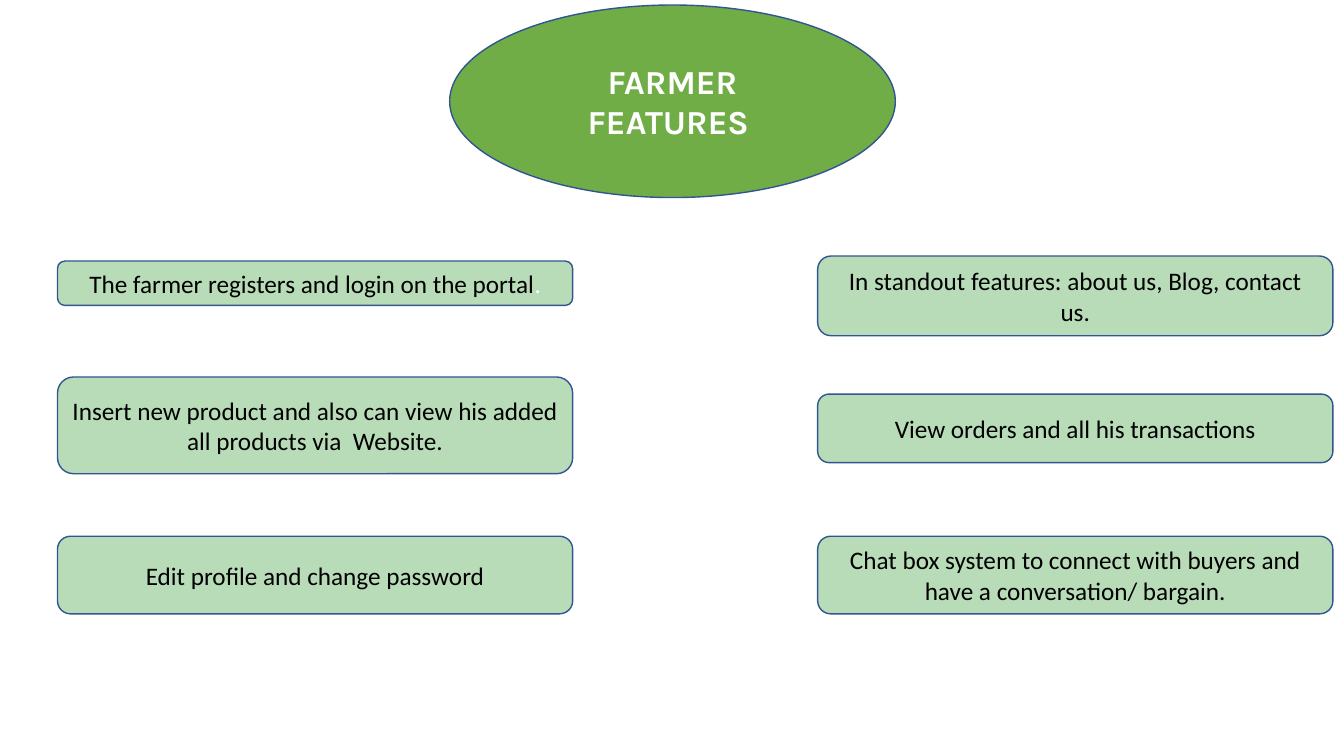
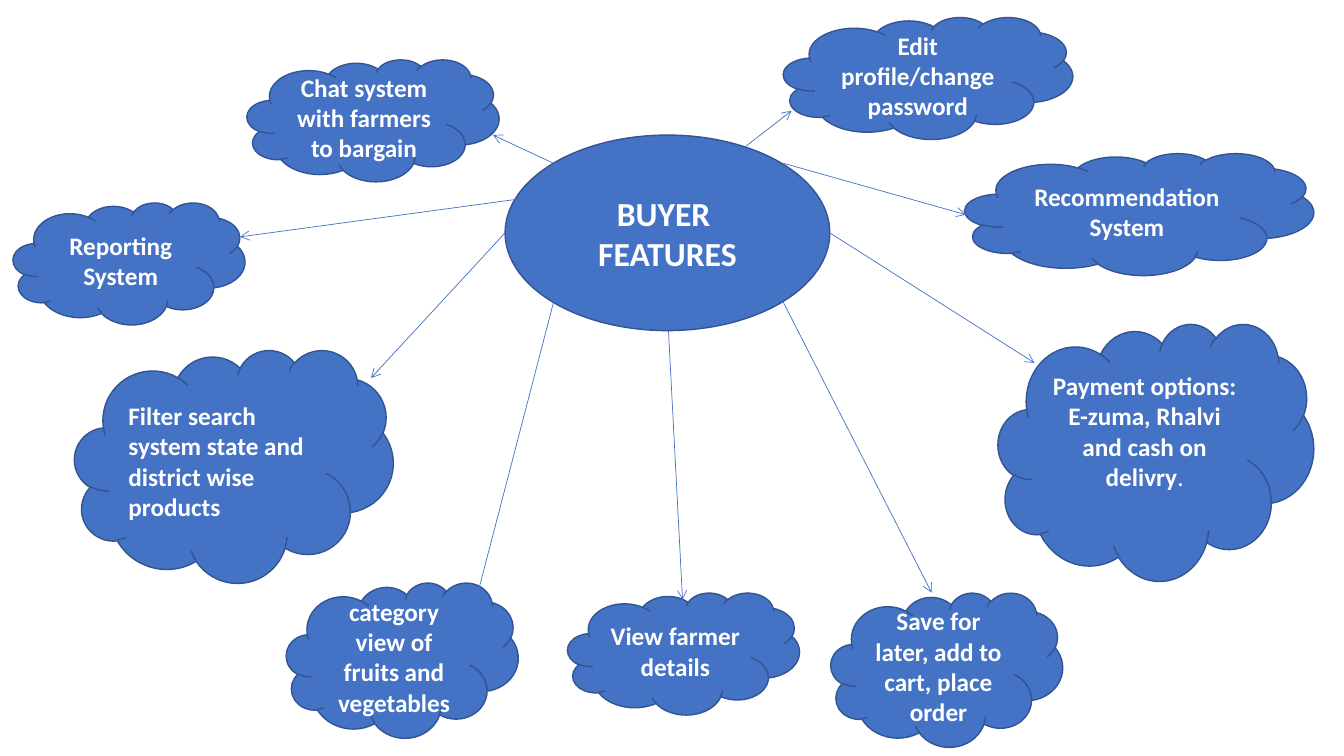
from lxml import etree
from pptx import Presentation
from pptx.dml.color import RGBColor
from pptx.enum.shapes import MSO_CONNECTOR, MSO_SHAPE as SHAPE
from pptx.enum.text import MSO_ANCHOR, PP_ALIGN as ALIGN
from pptx.oxml.ns import qn
from pptx.util import Pt

PX = 9144
BLACK = RGBColor(0x00, 0x00, 0x00)
WHITE = RGBColor(0xFF, 0xFF, 0xFF)
NAVY = RGBColor(0x32, 0x54, 0x91)
BLUE = RGBColor(0x44, 0x72, 0xC4)
GREEN = RGBColor(0x70, 0xAD, 0x47)
MINT = RGBColor(0xB8, 0xDC, 0xB8)


def add_text(para, text, font="Calibri", size=18, color=WHITE, bold=True):
    span = para.add_run()
    span.text = text
    span.font.name = font
    span.font.size = Pt(size)
    span.font.color.rgb = color
    span.font.bold = bold


def add_box(page, kind, bounds, fill, align=ALIGN.CENTER):
    box = page.shapes.add_shape(kind, *[length * PX for length in bounds])
    box.shadow.inherit = False
    box.fill.solid()
    box.fill.fore_color.rgb = fill
    box.line.color.rgb = NAVY
    box.line.width = Pt(1)
    box.text_frame.word_wrap = True
    box.text_frame.vertical_anchor = MSO_ANCHOR.MIDDLE
    box.text_frame.paragraphs[0].alignment = align
    return box


deck = Presentation()
deck.slide_width = 1333 * PX
deck.slide_height = 750 * PX
blank = deck.slide_layouts[6]

farmer_page = deck.slides.add_slide(blank)
LEFT, RIGHT, BOX_WIDTH = 57, 811, 511
farmer_features = [
    (LEFT, 259, 44, "The farmer registers and login on the portal", "."),
    (LEFT, 374, 96, "Insert new product and also can view his added all products via  Website.", ""),
    (LEFT, 532, 77, "Edit profile and change password", ""),
    (RIGHT, 254, 79, "In standout features: about us, Blog, contact us.", ""),
    (RIGHT, 391, 68, "View orders and all his transactions", ""),
    (RIGHT, 532, 77, "Chat box system to connect with buyers and have a conversation/ bargain.", ""),
]
for left, top, height, text, ending in farmer_features:
    box = add_box(farmer_page, SHAPE.ROUNDED_RECTANGLE, (left, top, BOX_WIDTH, height), MINT)
    para = box.text_frame.paragraphs[0]
    add_text(para, text, color=BLACK, bold=False)
    if ending:
        add_text(para, ending, bold=False)

title = add_box(farmer_page, SHAPE.OVAL, (446, 5, 442, 191), GREEN)
add_text(title.text_frame.paragraphs[0], "FARMER FEATURES ", font="Karla", size=24)

buyer_page = deck.slides.add_slide(blank)
buyer_features = [
    ((13, 201, 230, 121), "Reporting System"),
    ((284, 578, 230, 154), "category view of fruits and vegetables"),
    ((563, 588, 230, 121), "View farmer details"),
    ((824, 588, 230, 153), "Save for later, add to cart, place order"),
    ((957, 152, 346, 121), "Recommendation System"),
    ((245, 59, 250, 121), "Chat system with farmers to bargain"),
    ((777, 17, 287, 121), "Edit profile/change password"),
]
for bounds, text in buyer_features:
    cloud = add_box(buyer_page, SHAPE.CLOUD, bounds, BLUE)
    add_text(cloud.text_frame.paragraphs[0], text)

search = add_box(buyer_page, SHAPE.CLOUD, (74, 347, 316, 231), BLUE, align=ALIGN.LEFT)
add_text(search.text_frame.paragraphs[0], "Filter search system state and district wise products")

payment = add_box(buyer_page, SHAPE.CLOUD, (990, 321, 313, 255), BLUE)
payment.text_frame.margin_bottom = 35 * PX
para = payment.text_frame.paragraphs[0]
add_text(para, "Payment options: E-zuma, Rhalvi and cash on delivry")
add_text(para, ".", bold=False)

title = add_box(buyer_page, SHAPE.OVAL, (501, 134, 322, 194), BLUE)
add_text(title.text_frame.paragraphs[0], "BUYER ", size=24)
para = title.text_frame.add_paragraph()
para.alignment = ALIGN.CENTER
add_text(para, "FEATURES", size=24)

arrows = [
    (501, 231, 368, 375),
    (549, 300, 468, 611),
    (663, 328, 677, 595),
    (777, 300, 924, 588),
    (823, 231, 1026, 360),
    (549, 162, 489, 134),
    (518, 197, 238, 235),
    (777, 162, 958, 213),
    (736, 148, 785, 110),
]
for ends in arrows:
    arrow = buyer_page.shapes.add_connector(
        MSO_CONNECTOR.STRAIGHT, *[length * PX for length in ends])
    arrow.line.color.rgb = BLUE
    arrow.line.width = Pt(0.5)
    properties = arrow.element.spPr
    etree.SubElement(properties.find(qn("a:ln")), qn("a:tailEnd"), type="arrow")
    etree.SubElement(properties, qn("a:effectLst"))

deck.save("out.pptx")
